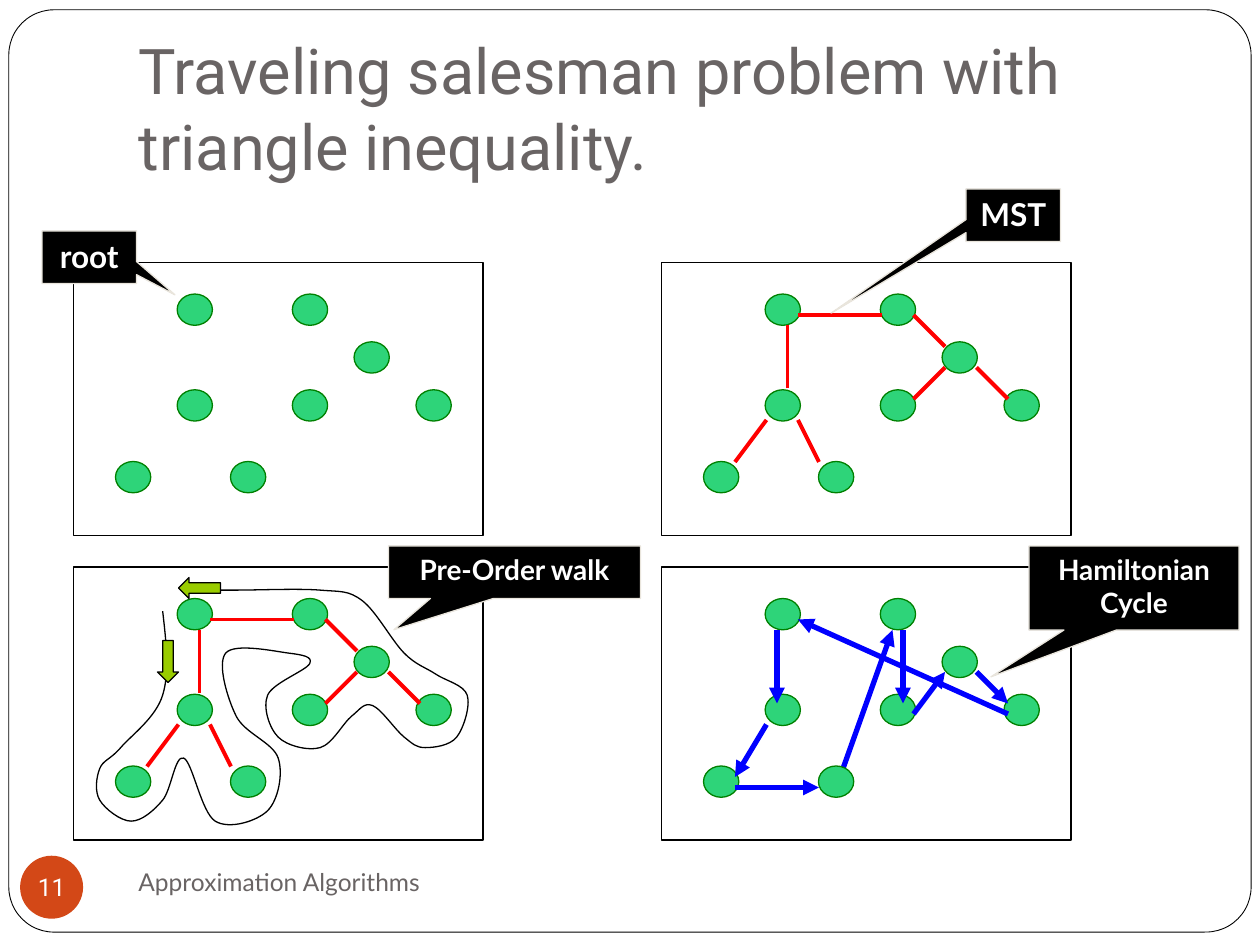
from lxml.etree import SubElement
from pptx import Presentation
from pptx.dml.color import RGBColor
from pptx.enum.shapes import MSO_CONNECTOR, MSO_SHAPE
from pptx.enum.text import MSO_ANCHOR, MSO_AUTO_SIZE, PP_ALIGN
from pptx.oxml.ns import qn
from pptx.util import Inches, Pt

COLORS = {
    "paper": "FFFFFF", "ink": "000000", "grey": "696464", "badge": "D34817",
    "node": "2ED479", "node_edge": "008000", "tree": "FF0000", "tour": "0000FF",
    "arrow": "99CC00", "callout_edge": "E9E5DC",
}

deck = Presentation()
deck.slide_width, deck.slide_height = Inches(10), Inches(7.5)
CELL = deck.slide_width / 120
page = deck.slides.add_slide(deck.slide_layouts[5])


def add_block(parent, kind, at, fill=None, edge=None, weight=0.75, adjustments=()):
    block = parent.shapes.add_shape(kind, *[round(value * CELL) for value in at])
    block.shadow.inherit = False
    for index, value in enumerate(adjustments):
        block.adjustments[index] = value
    for paint, color in ((block.fill, fill), (block.line.fill, edge)):
        if color:
            paint.solid()
            paint.fore_color.rgb = RGBColor.from_string(COLORS[color])
        else:
            paint.background()
    if edge:
        block.line.width = Pt(weight)
    return block


def write(box, text, size, font, color, bold=False, align=PP_ALIGN.LEFT, **frame_format):
    frame = box.text_frame
    frame_format = {
        "word_wrap": True, "auto_size": MSO_AUTO_SIZE.NONE,
        "margin_left": Inches(0.1), "margin_right": Inches(0.1),
        "margin_top": Inches(0.05), "margin_bottom": Inches(0.05),
        "vertical_anchor": MSO_ANCHOR.TOP, **frame_format,
    }
    for name, value in frame_format.items():
        setattr(frame, name, value)
    para = frame.paragraphs[0]
    para.alignment = align
    span = para.add_run()
    span.text = text
    for name, value in {"size": Pt(size), "name": font, "bold": bold}.items():
        setattr(span.font, name, value)
    span.font.color.rgb = RGBColor.from_string(COLORS[color])


title = page.shapes.title
for name, value in {"left": 12, "top": 3.6, "width": 102, "height": 15}.items():
    setattr(title, name, round(value * CELL))
write(title, "Traveling salesman problem with triangle inequality.", 36, "Roboto", "grey",
      vertical_anchor=MSO_ANCHOR.BOTTOM, margin_bottom=Inches(0.1))

border = add_block(page, MSO_SHAPE.ROUNDED_RECTANGLE, (0.84, 0.93, 118.32, 87.84),
                   "paper", "ink", 0.5, (0.049,))
title.element.addprevious(border.element)

footer = page.shapes.add_textbox(*[round(value * CELL) for value in (12, 81, 52, 6)])
write(footer, "Approximation Algorithms", 14, "Lato", "grey",
      vertical_anchor=MSO_ANCHOR.MIDDLE)

badge = add_block(page, MSO_SHAPE.OVAL, (1.92, 81.5, 6, 6), "badge")
write(badge, "11", 14, "Roboto", "paper", align=PP_ALIGN.CENTER, word_wrap=False,
      vertical_anchor=MSO_ANCHOR.MIDDLE, margin_left=0, margin_right=0,
      margin_top=0, margin_bottom=0)

NODES = [(9.87, 3), (20.84, 3), (4, 18.95), (26.72, 7.55),
         (9.87, 12.12), (20.84, 12.12), (14.95, 18.95), (32.62, 12.12)]
TREE = [(12, 12, 12, 6), (7, 19, 10, 15), (15, 19, 13, 15), (21, 5, 13, 5),
        (27, 8, 24, 5), (24, 13, 27, 10), (33, 13, 30, 10)]
TOUR_BEHIND = [(17, 20, 22, 6)]
TOUR = [(11, 6, 11, 13), (10, 15, 7, 20), (7, 21, 15, 21), (23, 6, 23, 13),
        (24, 14, 27, 10), (30, 10, 33, 13), (33, 14, 13, 5)]
WALK = [(8, 4), (8, 12), (4, 17), (2, 19), (2, 22), (5, 24), (8, 22), (10, 18),
        (13, 24), (18, 23), (19, 18), (15, 14), (14, 8), (20, 8), (22, 9),
        (18, 12), (19, 16), (23, 17), (26, 14), (28, 13), (31, 16), (33, 17),
        (36, 16), (37, 12), (34, 10), (31, 8), (27, 3), (23, 2), (15, 2), (11, 2)]

PANELS = [
    (7, 25, [], [], "tree", False, "root", 18, (4, 22, 9, 5), (0.907, 0.717)),
    (63, 25, [], TREE, "tree", False, "MST", 18, (92, 18, 9, 5), (-1.928, 1.867)),
    (7, 54, [], TREE, "tree", True, "Pre-Order walk", 16, (37, 52, 24, 5),
     (-0.478, 1.096)),
    (63, 54, TOUR_BEHIND, TOUR, "tour", False, "Hamiltonian Cycle", 16,
     (98, 52, 20, 8), (-0.681, 1.057)),
]

for left, top, behind, front, color, has_walk, label, size, callout_at, pointer in PANELS:
    panel = page.shapes.add_group_shape()
    for edges, nodes in ((behind, NODES), (front, [])):
        for x1, y1, x2, y2 in edges:
            ends = (left + x1, top + y1, left + x2, top + y2)
            edge = panel.shapes.add_connector(MSO_CONNECTOR.STRAIGHT,
                                              *[round(value * CELL) for value in ends])
            edge.line.color.rgb = RGBColor.from_string(COLORS[color])
            edge.line.width = Pt(3 if color == "tour" else 2.25)
            if color == "tour":
                SubElement(edge.line._get_or_add_ln(), qn("a:tailEnd"), type="triangle")
            SubElement(edge.element.spPr, qn("a:effectLst"))
        for x, y in nodes:
            add_block(panel, MSO_SHAPE.FLOWCHART_CONNECTOR,
                      (left + x, top + y, 3.36, 2.98), "node", "node_edge")
        if nodes:
            add_block(panel, MSO_SHAPE.FLOWCHART_PROCESS, (left, top, 39, 26), edge="ink")

    if has_walk:
        knots = [(round((left + x + 0.5) * CELL), round((top + y + 0.2) * CELL))
                 for x, y in WALK]
        builder = panel.shapes.build_freeform(*knots[0], scale=1.0)
        builder.add_line_segments(knots[1:], close=False)
        walk = builder.convert_to_shape()
        walk.shadow.inherit = False
        walk.fill.background()
        walk.line.color.rgb = RGBColor.from_string(COLORS["ink"])
        walk.line.width = Pt(0.75)

        corners = [(int(point.get("x")), int(point.get("y")))
                   for point in walk.element.iter(qn("a:pt"))]
        lead, trail = [
            tuple(2.5 * a - 2 * b + 0.5 * c for a, b, c in zip(*trio))
            for trio in (corners[:3], corners[:-4:-1])]
        padded = [lead, *corners, trail]
        segments = list(walk.element.iter(qn("a:lnTo")))
        for segment, before, start, end, after in zip(
                segments, padded, padded[1:], padded[2:], padded[3:]):
            first = [b + (c - a) / 6 for a, b, c in zip(before, start, end)]
            second = [b - (c - a) / 6 for a, b, c in zip(start, end, after)]
            curve = SubElement(segment.getparent(), qn("a:cubicBezTo"))
            for x, y in (first, second, end):
                SubElement(curve, qn("a:pt"), x=str(round(x)), y=str(round(y)))
            segment.getparent().replace(segment, curve)

        add_block(panel, MSO_SHAPE.LEFT_ARROW, (left + 10, top + 1, 4, 2), "arrow", "ink")
        add_block(panel, MSO_SHAPE.DOWN_ARROW, (left + 8, top + 7, 2, 4), "arrow", "ink")

    callout = add_block(panel, MSO_SHAPE.RECTANGULAR_CALLOUT, callout_at,
                        "ink", "callout_edge", adjustments=pointer)
    write(callout, label, size, "Lato", "paper", bold=True, align=PP_ALIGN.CENTER)

deck.save("out.pptx")
